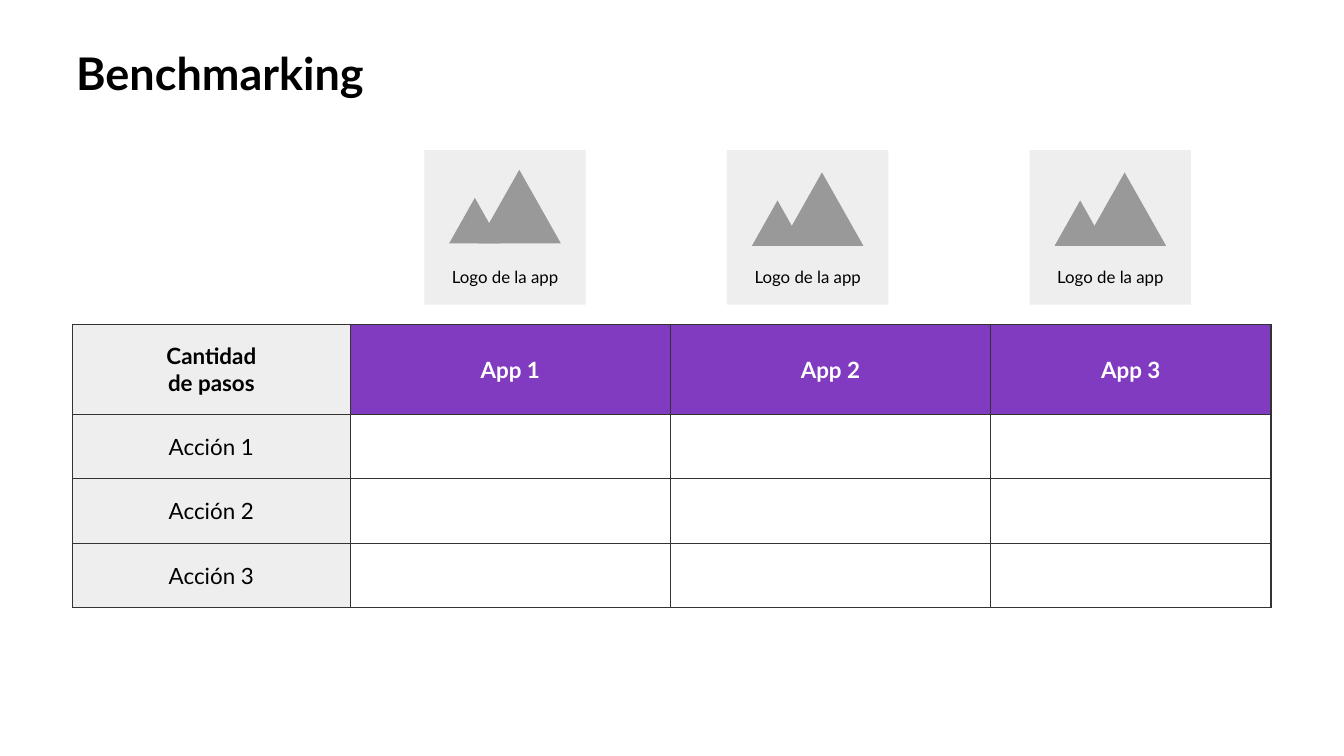
from dataclasses import dataclass

from lxml import etree
from pptx import Presentation
from pptx.dml.color import RGBColor
from pptx.enum.shapes import MSO_SHAPE
from pptx.enum.text import MSO_ANCHOR, PP_ALIGN
from pptx.oxml.ns import qn
from pptx.util import Cm, Pt

RECTANGLE = MSO_SHAPE.RECTANGLE
TRIANGLE = MSO_SHAPE.ISOSCELES_TRIANGLE
MIDDLE = MSO_ANCHOR.MIDDLE
BOTTOM = MSO_ANCHOR.BOTTOM
CENTER = PP_ALIGN.CENTER
LEFT = PP_ALIGN.LEFT


@dataclass(frozen=True)
class Theme:
    font: str = "Lato"
    black: str = "000000"
    white: str = "FFFFFF"
    purple: str = "813BC0"
    light: str = "EEEEEE"
    gray: str = "999999"
    border: str = "333333"
    title_size: float = 24.1
    table_size: float = 12
    label_size: float = 9


theme = Theme()


def write(paragraph, text, size, color, bold=False, align=CENTER):
    paragraph.alignment = align
    for index, line in enumerate(text.split("\n")):
        if index:
            paragraph.add_line_break()
        run = paragraph.add_run()
        run.text = line
        run.font.name = theme.font
        run.font.size = Pt(size)
        run.font.bold = bold
        run.font.color.rgb = RGBColor.from_string(color)


def add_block(group, kind, left, top, width, height, color):
    shape = group.shapes.add_shape(kind, Cm(left), Cm(top), Cm(width), Cm(height))
    shape.shadow.inherit = False
    shape.fill.solid()
    shape.fill.fore_color.rgb = RGBColor.from_string(color)
    shape.line.fill.background()
    return shape


presentation = Presentation()
presentation.slide_width = Cm(25.4)
presentation.slide_height = Cm(14.29)
slide = presentation.slides.add_slide(presentation.slide_layouts[6])

rows = [
    ["Cantidad\nde pasos", "App 1", "App 2", "App 3"],
    ["Acción 1", "", "", ""],
    ["Acción 2", "", "", ""],
    ["Acción 3", "", "", ""],
]
column_widths = [5.25, 6.05, 6.05, 5.3]
row_heights = [1.69, 1.22, 1.22, 1.22]

table = slide.shapes.add_table(
    len(rows), len(column_widths), Cm(1.37), Cm(6.14),
    Cm(sum(column_widths)), Cm(sum(row_heights)),
).table
table.first_row = False
table.horz_banding = False
for column, width in zip(table.columns, column_widths):
    column.width = Cm(width)
for row, height in zip(table.rows, row_heights):
    row.height = Cm(height)

for row_index, texts in enumerate(rows):
    for column_index, text in enumerate(texts):
        cell = table.cell(row_index, column_index)
        cell.vertical_anchor = MIDDLE
        is_header = row_index == 0
        is_app = is_header and column_index > 0
        if text:
            color = theme.white if is_app else theme.black
            write(cell.text_frame.paragraphs[0], text, theme.table_size, color, is_header)
        properties = cell._tc.get_or_add_tcPr()
        for side in ("a:lnL", "a:lnR", "a:lnT", "a:lnB"):
            line = etree.SubElement(properties, qn(side), w=str(Pt(0.75)))
            fill = etree.SubElement(line, qn("a:solidFill"))
            etree.SubElement(fill, qn("a:srgbClr"), val=theme.border)
        if text:
            cell.fill.solid()
            cell.fill.fore_color.rgb = RGBColor.from_string(
                theme.purple if is_app else theme.light
            )
        else:
            cell.fill.background()

card_top = 2.84
for index, peak_offset in enumerate([0.37, 0.42, 0.42]):
    card_left = 8.02 + 5.72 * index
    peak_top = card_top + peak_offset
    group = slide.shapes.add_group_shape()
    card = add_block(group, RECTANGLE, card_left, card_top, 3.05, 2.92, theme.light)
    frame = card.text_frame
    frame.word_wrap = True
    frame.vertical_anchor = BOTTOM
    frame.margin_bottom = Cm(0.33)
    write(frame.paragraphs[0], "Logo de la app", theme.label_size, theme.black)
    add_block(group, TRIANGLE, card_left + 0.47, peak_top + 0.53, 0.97, 0.86, theme.gray)
    add_block(group, TRIANGLE, card_left + 1.01, peak_top, 1.57, 1.39, theme.gray)

title = slide.shapes.add_textbox(Cm(1.19), Cm(0.79), Cm(22.17), Cm(1.37))
frame = title.text_frame
frame.word_wrap = True
frame.vertical_anchor = MIDDLE
frame.paragraphs[0].line_spacing = 0.8
write(frame.paragraphs[0], "Benchmarking", theme.title_size, theme.black, True, LEFT)

presentation.save("out.pptx")
